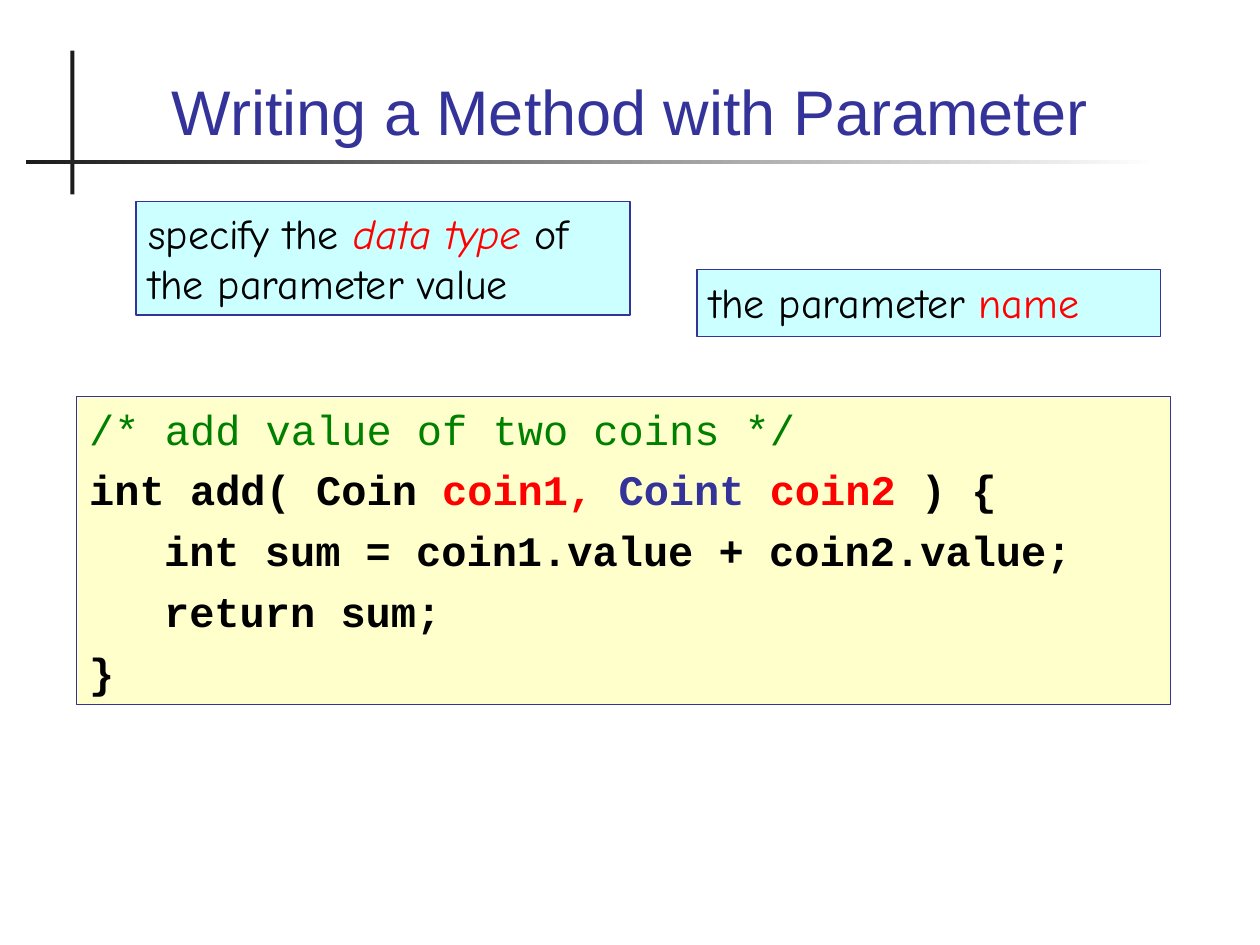
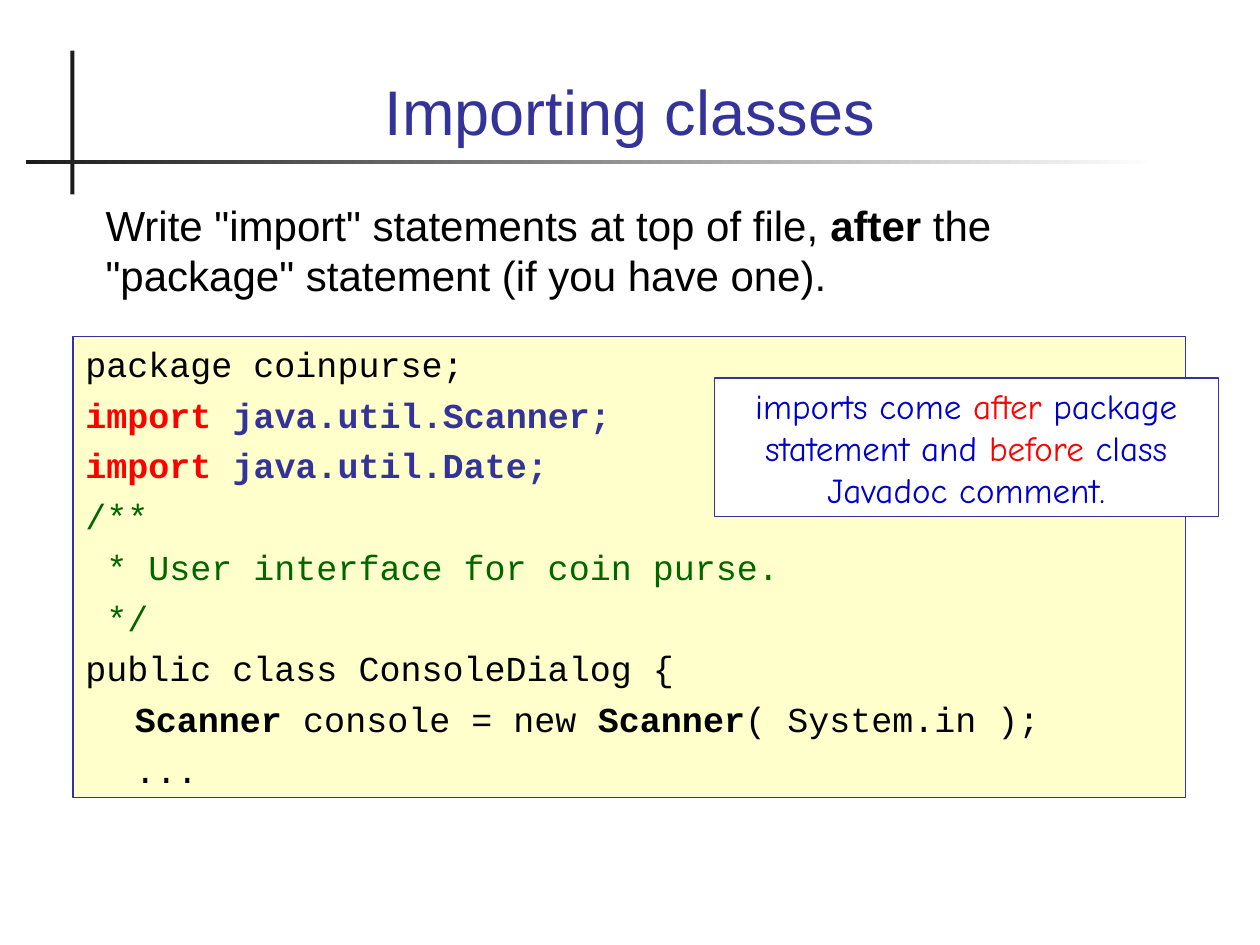
from dataclasses import dataclass

from lxml import etree
from pptx import Presentation
from pptx import util as u
from pptx.dml.color import RGBColor
from pptx.enum import shapes, text
from pptx.oxml.ns import qn

# Shared look
NAVY, RED, BLACK, WHITE = "333399", "FF0000", "000000", "FFFFFF"
BLUE, GREEN, DARK_GREEN = "0000CC", "008000", "006600"
CYAN, CREAM, RULE = "CCFFFF", "FFFFCC", "1C1C1C"
SANS, HAND, MONO = "Arial", "Comic Neue", "Courier New"
TAB = u.Cm(1)
LEFT, CENTER = text.PP_ALIGN.LEFT, text.PP_ALIGN.CENTER
TOP, BOTTOM = text.MSO_ANCHOR.TOP, text.MSO_ANCHOR.BOTTOM


@dataclass
class Run:
    words: str
    color: str = BLACK
    bold: bool = False
    italic: bool = False


@dataclass
class Box:
    """A text box: place in cm, text style and paragraphs of runs."""
    place: tuple[float, float, float, float]
    font: str
    size: float
    paragraphs: list[list[Run]]
    fill: str | None = None
    align: text.PP_ALIGN = LEFT
    anchor: text.MSO_ANCHOR = TOP
    space_before: float = 0


def rgb(color: str) -> RGBColor:
    return RGBColor.from_string(color)


def add_rectangle(slide, place: tuple[float, float, float, float]):
    shape = slide.shapes.add_shape(
        shapes.MSO_SHAPE.RECTANGLE, *(u.Cm(length) for length in place))
    shape.shadow.inherit = False
    shape.line.fill.background()
    return shape


def add_tab_stop(paragraph) -> None:
    tab_list = etree.SubElement(paragraph._p.get_or_add_pPr(), qn("a:tabLst"))
    etree.SubElement(tab_list, qn("a:tab"), pos=str(TAB), algn="l")


def add_box(slide, box: Box) -> None:
    if box.fill:
        shape = add_rectangle(slide, box.place)
        shape.fill.solid()
        shape.fill.fore_color.rgb = rgb(box.fill)
        shape.line.color.rgb = rgb(NAVY)
        shape.line.width = u.Pt(0.75)
    else:
        shape = slide.shapes.add_textbox(*(u.Cm(length) for length in box.place))
    frame = shape.text_frame
    frame.word_wrap = True
    frame.auto_size = text.MSO_AUTO_SIZE.NONE
    frame.vertical_anchor = box.anchor
    for index, runs in enumerate(box.paragraphs):
        paragraph = frame.add_paragraph() if index else frame.paragraphs[0]
        if any("\t" in item.words for item in runs):
            add_tab_stop(paragraph)
        paragraph.alignment = box.align
        paragraph.space_before = u.Pt(box.space_before if index else 0)
        for item in runs:
            run = paragraph.add_run()
            run.text = item.words
            run.font.name, run.font.size = box.font, u.Pt(box.size)
            run.font.bold, run.font.italic = item.bold, item.italic
            run.font.color.rgb = rgb(item.color)


def add_slide(presentation, title: str, boxes: list[Box]) -> None:
    slide = presentation.slides.add_slide(presentation.slide_layouts[6])

    # Crossed rules beside and below the title
    upright = add_rectangle(slide, (1.42, 1.02, 0.08, 2.9))
    upright.fill.solid()
    upright.fill.fore_color.rgb = rgb(RULE)
    underline = add_rectangle(slide, (0.53, 3.23, 22.83, 0.08))
    underline.fill.gradient()
    underline.fill.gradient_angle = 0
    for stop, color, position in zip(
            underline.fill.gradient_stops, (RULE, WHITE), (0, 1)):
        stop.color.rgb = rgb(color)
        stop.position = position

    heading = Box((1.7, 0.71, 22, 2.41), SANS, 36, [[Run(title, NAVY)]],
                  align=CENTER, anchor=BOTTOM)
    for box in [heading, *boxes]:
        add_box(slide, box)


# Slide 1: method with parameters
parameter_name = Box((14.05, 5.44, 9.35, 1.35), HAND, 24, [
    [Run("the parameter "), Run("name", RED)],
], fill=CYAN)

method_code = Box((1.55, 8, 22.05, 6.2), MONO, 24, [
    [Run("/* add value of two coins */", GREEN)],
    [Run("int add( Coin ", bold=True), Run("coin1, ", RED, bold=True),
     Run("Coint", NAVY, bold=True), Run(" coin2", RED, bold=True),
     Run(" ) {", bold=True)],
    [Run("\t int sum = coin1.value + coin2.value;", bold=True)],
    [Run("\t return sum;", bold=True)],
    [Run("}", bold=True)],
], fill=CREAM, space_before=6)

data_type = Box((2.74, 4.06, 9.96, 2.29), HAND, 24, [
    [Run("specify the "), Run("data type", RED, italic=True),
     Run(" of the parameter value")],
], fill=CYAN)

# Slide 2: import statements
import_advice = Box((1.88, 3.89, 22, 2.46), SANS, 24, [
    [Run('Write "import" statements at top of file, '),
     Run("after", bold=True),
     Run(' the "package" statement (if you have one).')],
])

import_code = Box((1.47, 6.78, 22.43, 9.3), MONO, 20, [
    [Run("package coinpurse;")],
    [Run("import ", RED, bold=True), Run("java.util.Scanner;", NAVY, bold=True)],
    [Run("import", RED, bold=True), Run(" java.util.Date;", NAVY, bold=True)],
    [Run("/**", DARK_GREEN)],
    [Run(" * User interface for coin purse.", DARK_GREEN)],
    [Run(" */", DARK_GREEN)],
    [Run("public class ConsoleDialog {")],
    [Run("\t"), Run("Scanner", bold=True), Run(" console = new "),
     Run("Scanner", bold=True), Run("( System.in );")],
    [Run("\t...")],
], fill=CREAM, space_before=5)

import_order = Box((14.4, 7.62, 10.16, 2.8), HAND, 20, [
    [Run("imports come ", BLUE), Run("after", RED),
     Run(" package statement and ", BLUE), Run("before", RED),
     Run(" class Javadoc comment.", BLUE)],
], fill=WHITE, align=CENTER)


def main() -> None:
    presentation = Presentation()
    presentation.slide_width, presentation.slide_height = u.Cm(25.4), u.Cm(19.05)
    add_slide(presentation, "Writing a Method with Parameter",
              [parameter_name, method_code, data_type])
    add_slide(presentation, "Importing classes",
              [import_advice, import_code, import_order])
    presentation.save("out.pptx")


if __name__ == "__main__":
    main()
